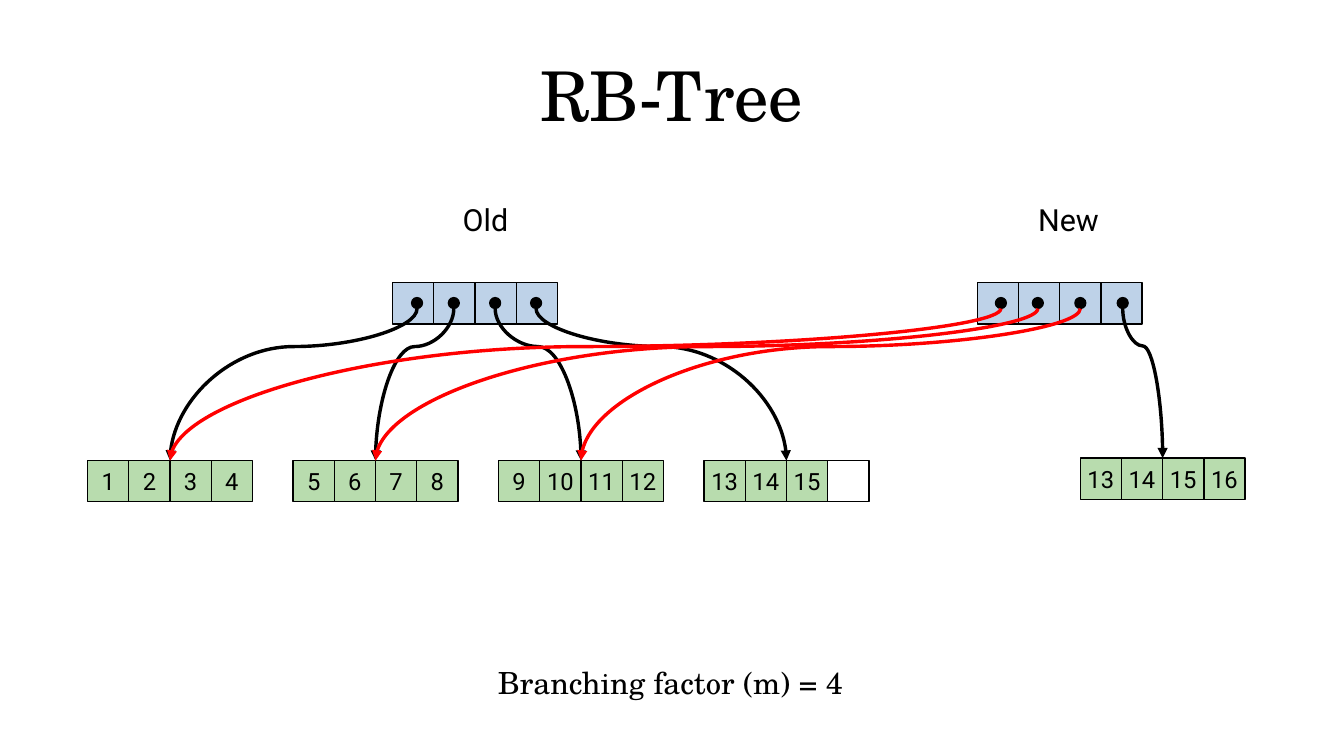
from lxml.etree import SubElement
from pptx import Presentation
from pptx.dml.color import RGBColor
from pptx.enum.shapes import MSO_CONNECTOR, MSO_SHAPE
from pptx.enum.text import MSO_ANCHOR, PP_ALIGN
from pptx.oxml.ns import qn
from pptx.util import Pt

CELL = 24.35
LEAF_TOP = 272
NEW_LEAF_TOP = 270.5
ROOT_TOP = 167
DOT_TOP = 175.7
DOT_SIZE = 6.5
BLACK, RED, GREEN, BLUE = "000000", "FF0000", "77BC65", "729FCF"
SANS, SERIF = "Roboto", "TeX Gyre Schola"


def color(value):
    """Return the colour for a hex string."""
    return RGBColor.from_string(value)


def style_text(text_frame, text, size, font_name, alignment):
    """Write one paragraph of black text."""
    paragraph = text_frame.paragraphs[0]
    paragraph.text = text
    paragraph.alignment = alignment
    paragraph.font.size = Pt(size)
    paragraph.font.name = font_name
    paragraph.font.color.rgb = color(BLACK)


def add_text(slide, box, text, size, font_name, alignment=PP_ALIGN.LEFT):
    """Add a wrapping text box and return its text frame."""
    text_frame = slide.shapes.add_textbox(*map(Pt, box)).text_frame
    text_frame.word_wrap = True
    style_text(text_frame, text, size, font_name, alignment)
    return text_frame


def add_title(slide, text):
    """Add the slide title, centred in its box without margins."""
    text_frame = add_text(slide, (39.6, 18, 714.3, 74.9), text, 40.5, SERIF, PP_ALIGN.CENTER)
    text_frame.vertical_anchor = MSO_ANCHOR.MIDDLE
    text_frame.margin_left = text_frame.margin_right = 0
    text_frame.margin_top = text_frame.margin_bottom = 0


def add_outlined(slide, kind, left, top, size, fill=None, opacity=100):
    """Add a square-bounded shape with a black hairline."""
    shape = slide.shapes.add_shape(kind, Pt(left), Pt(top), Pt(size), Pt(size))
    shape.shadow.inherit = False
    shape.line.color.rgb = color(BLACK)
    shape.line.width = Pt(0)
    if fill is None:
        shape.fill.background()
        return shape
    shape.fill.solid()
    shape.fill.fore_color.rgb = color(fill)
    if opacity < 100:
        fill_color = shape._element.spPr.find(qn("a:solidFill"))[0]
        SubElement(fill_color, qn("a:alpha")).set("val", str(opacity * 1000))
    return shape


def add_leaf(slide, left, top, values):
    """Add a leaf of four cells, leaving missing values unfilled."""
    for index, value in enumerate(values):
        fill = None if value is None else GREEN
        cell = add_outlined(slide, MSO_SHAPE.RECTANGLE, left + index * CELL, top, CELL, fill, 52)
        if value is not None:
            cell.text_frame.word_wrap = False
            cell.text_frame.vertical_anchor = MSO_ANCHOR.MIDDLE
            style_text(cell.text_frame, str(value), 14, SANS, PP_ALIGN.CENTER)


def add_root(slide, left, dot_centers):
    """Add a root of four cells with one dot for each pointer."""
    for index in range(4):
        add_outlined(slide, MSO_SHAPE.RECTANGLE, left + index * CELL, ROOT_TOP, CELL, BLUE, 46)
    for center in dot_centers:
        add_outlined(slide, MSO_SHAPE.OVAL, center - DOT_SIZE / 2, DOT_TOP, DOT_SIZE, BLACK)


def add_pointer(slide, start_x, end_x, end_y, line_color):
    """Add a curved arrow that leaves a dot downwards and enters a leaf from above."""
    start_y = DOT_TOP + DOT_SIZE
    length, spread = end_y - start_y, abs(end_x - start_x)
    left = (start_x + end_x - length) / 2
    top = (start_y + end_y - spread) / 2
    begin_x, finish_x = left, left + length
    rotation = 90
    if end_x > start_x:
        begin_x, finish_x = finish_x, begin_x
        rotation = 270
    connector = slide.shapes.add_connector(
        MSO_CONNECTOR.CURVE, Pt(begin_x), Pt(top), Pt(finish_x), Pt(top + spread)
    )
    connector.line.color.rgb = color(line_color)
    connector.line.width = Pt(0)
    properties = connector._element.spPr
    properties.find(qn("a:xfrm")).set("rot", str(rotation * 60000))
    adjustments = properties.find(qn("a:prstGeom")).find(qn("a:avLst"))
    guide = SubElement(adjustments, qn("a:gd"))
    guide.set("name", "adj1")
    guide.set("fmla", "val 25000")
    SubElement(properties.find(qn("a:ln")), qn("a:tailEnd")).set("type", "triangle")
    SubElement(properties, qn("a:effectLst"))


def main():
    """Build the slide and save it."""
    presentation = Presentation()
    presentation.slide_width = Pt(793.7)
    presentation.slide_height = Pt(446.4)
    slide = presentation.slides.add_slide(presentation.slide_layouts[6])

    add_title(slide, "RB-Tree")
    old_leaves = [(1, 2, 3, 4), (5, 6, 7, 8), (9, 10, 11, 12), (13, 14, 15, None)]
    leaf_lefts = [51.7 + 121.35 * index for index in range(4)]
    for left, values in zip(leaf_lefts, old_leaves):
        add_leaf(slide, left, LEAF_TOP, values)
    new_leaf_left = 637.9
    add_leaf(slide, new_leaf_left, NEW_LEAF_TOP, (13, 14, 15, 16))

    old_dots = [246.3, 268, 292.4, 316.6]
    new_dots = [591.1, 612.9, 638, 663]
    add_root(slide, 231.8, old_dots)
    add_root(slide, 577.1, new_dots)

    targets = [left + 2 * CELL for left in leaf_lefts]
    for dot, target in zip(old_dots, targets):
        add_pointer(slide, dot, target, LEAF_TOP, BLACK)
    for dot, target in zip(new_dots[:3], targets):
        add_pointer(slide, dot, target, LEAF_TOP, RED)
    add_pointer(slide, new_dots[3], new_leaf_left + 2 * CELL, NEW_LEAF_TOP, BLACK)

    add_text(slide, (287, 388.8, 220, 56.2), "Branching factor (m) = 4", 18, SERIF)
    add_text(slide, (266.2, 115.2, 50.4, 31.7), "Old", 18, SANS)
    add_text(slide, (606, 115.2, 63.4, 36), "New", 18, SANS)
    presentation.save("out.pptx")


if __name__ == "__main__":
    main()
